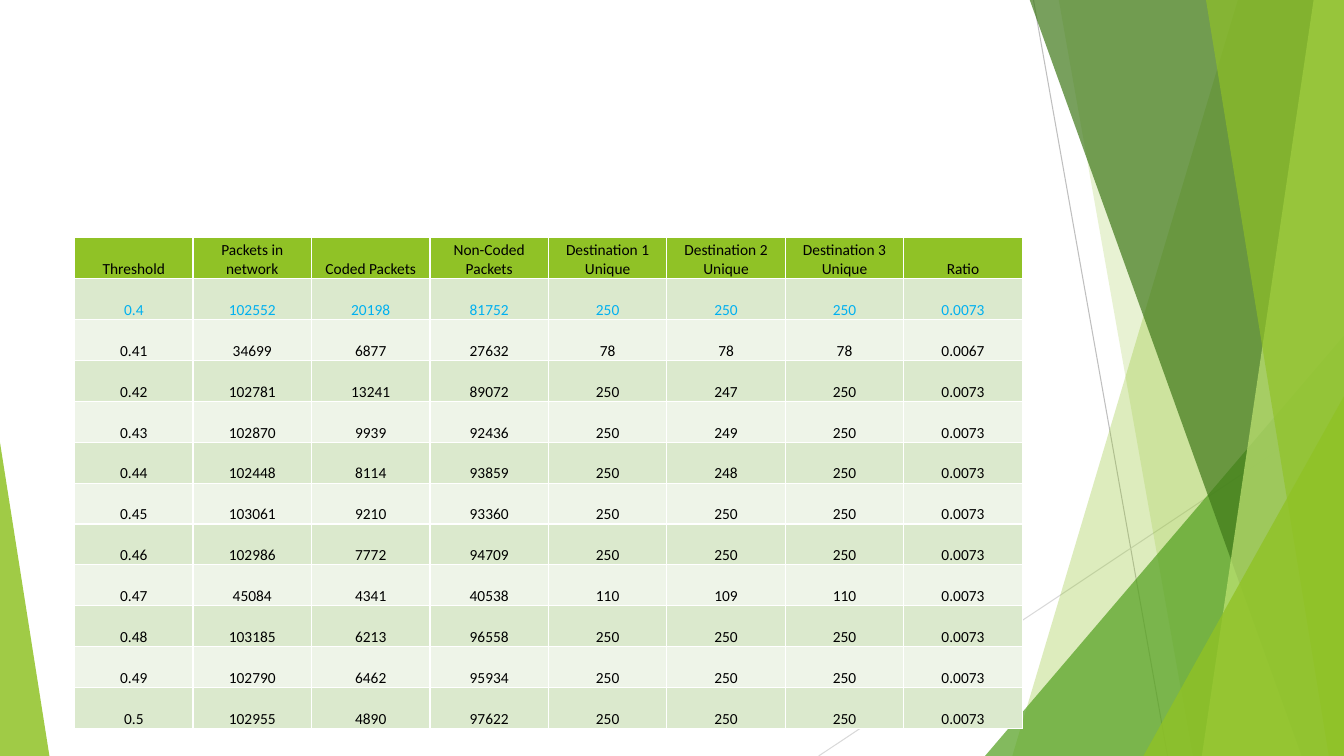
from pptx import Presentation
from pptx.dml.color import RGBColor
from pptx.enum.shapes import MSO_CONNECTOR, MSO_SHAPE
from pptx.enum.text import MSO_ANCHOR, PP_ALIGN
from pptx.oxml.ns import qn
from pptx.util import Inches, Pt
from lxml.etree import SubElement

COLORS = {
    "lime": "90C226", "green": "54A021", "forest": "3F7819", "pale": "C0E474",
    "gray": "BFBFBF", "light_gray": "D9D9D9",
    "band_dark": "DBE9CD", "band_light": "EEF4E8",
    "text": "000000", "highlight": "00B0F0",
}

HEADER = ["Threshold", "Packets in network", "Coded Packets", "Non-Coded Packets",
          "Destination 1 Unique", "Destination 2 Unique", "Destination 3 Unique", "Ratio"]
RESULTS = [
    ["0.4", "102552", "20198", "81752", "250", "250", "250", "0.0073"],
    ["0.41", "34699", "6877", "27632", "78", "78", "78", "0.0067"],
    ["0.42", "102781", "13241", "89072", "250", "247", "250", "0.0073"],
    ["0.43", "102870", "9939", "92436", "250", "249", "250", "0.0073"],
    ["0.44", "102448", "8114", "93859", "250", "248", "250", "0.0073"],
    ["0.45", "103061", "9210", "93360", "250", "250", "250", "0.0073"],
    ["0.46", "102986", "7772", "94709", "250", "250", "250", "0.0073"],
    ["0.47", "45084", "4341", "40538", "110", "109", "110", "0.0073"],
    ["0.48", "103185", "6213", "96558", "250", "250", "250", "0.0073"],
    ["0.49", "102790", "6462", "95934", "250", "250", "250", "0.0073"],
    ["0.5", "102955", "4890", "97622", "250", "250", "250", "0.0073"],
]
HIGHLIGHT_ROW = 1

SLIDE_W, SLIDE_H = 13.33, 7.5
TABLE_X, TABLE_Y, TABLE_W, TABLE_H = 0.74, 2.36, 9.4, 4.87

# Thin lines: x1, y1, x2, y2, color
LINES = [
    (10.25, 0, 11.58, SLIDE_H, "gray"),
    (SLIDE_W, 4.03, 8.12, SLIDE_H, "light_gray"),
]
# Facets, back to front. A band runs to the right edge: top x, bottom x.
# A triangle stands on the bottom edge: left, top, width, apex.
FACETS = [
    ("band", (12.28, 10.04), "lime", 30),
    ("band", (10.5, 11.83), "lime", 20),
    ("triangle", (9.77, 3.33, 3.56, 1), "green", 72),
    ("band", (10.21, 12.91), "forest", 70),
    ("band", (13.03, 11.92), "pale", 70),
    ("band", (11.96, 13.18), "lime", 65),
    ("triangle", (11.34, 3.93, 1.99, 1), "lime", 80),
    ("triangle", (0, 4.39, 0.49, 0), "lime", 85),
]


def rgb(name):
    return RGBColor.from_string(COLORS[name])


def add_line(shapes, x1, y1, x2, y2, color):
    line = shapes.add_connector(MSO_CONNECTOR.STRAIGHT,
                                Inches(x1), Inches(y1), Inches(x2), Inches(y2))
    line.line.color.rgb = rgb(color)
    line.line.width = Pt(0.75)
    SubElement(line._element.spPr, qn("a:effectLst"))


def add_band(shapes, top_x, bottom_x):
    top = -0.01
    corners = [(top_x, top), (SLIDE_W, top), (SLIDE_W, SLIDE_H), (bottom_x, SLIDE_H)]
    points = [(Inches(x), Inches(y)) for x, y in corners]
    builder = shapes.build_freeform(*points[0])
    builder.add_line_segments(points[1:], close=True)
    return builder.convert_to_shape()


def add_triangle(shapes, left, top, width, apex):
    sp = shapes.add_shape(MSO_SHAPE.ISOSCELES_TRIANGLE, Inches(left), Inches(top),
                          Inches(width), Inches(SLIDE_H - top))
    sp.adjustments[0] = apex
    return sp


def add_facet(shapes, kind, geometry, color, opacity):
    draw = add_band if kind == "band" else add_triangle
    sp = draw(shapes, *geometry)
    sp.shadow.inherit = False
    sp.line.fill.background()
    sp.fill.solid()
    sp.fill.fore_color.rgb = rgb(color)
    srgb = sp._element.spPr.find(qn("a:solidFill")).find(qn("a:srgbClr"))
    SubElement(srgb, qn("a:alpha"), val=str(opacity * 1000))


def fill_cell(cell, text, fill, color):
    cell.fill.solid()
    cell.fill.fore_color.rgb = rgb(fill)
    cell.margin_left = cell.margin_right = cell.margin_top = Inches(0.01)
    cell.margin_bottom = 0
    cell.vertical_anchor = MSO_ANCHOR.BOTTOM
    cell.text = text
    p = cell.text_frame.paragraphs[0]
    p.alignment = PP_ALIGN.CENTER
    p.font.name = "Calibri"
    p.font.size = Pt(11)
    p.font.bold = False
    p.font.color.rgb = rgb(color)


def add_results_table(shapes):
    rows = [HEADER] + RESULTS
    table = shapes.add_table(len(rows), len(HEADER), Inches(TABLE_X), Inches(TABLE_Y),
                             Inches(TABLE_W), Inches(TABLE_H)).table
    for i, row in enumerate(rows):
        band = "band_dark" if i % 2 else "band_light"
        fill = "lime" if i == 0 else band
        color = "highlight" if i == HIGHLIGHT_ROW else "text"
        for j, text in enumerate(row):
            fill_cell(table.cell(i, j), text, fill, color)


def main():
    prs = Presentation()
    prs.slide_width, prs.slide_height = Inches(SLIDE_W), Inches(SLIDE_H)
    shapes = prs.slides.add_slide(prs.slide_layouts[6]).shapes

    # Background decoration
    for line in LINES:
        add_line(shapes, *line)
    for facet in FACETS:
        add_facet(shapes, *facet)

    # Results
    add_results_table(shapes)
    prs.save("out.pptx")


if __name__ == "__main__":
    main()
